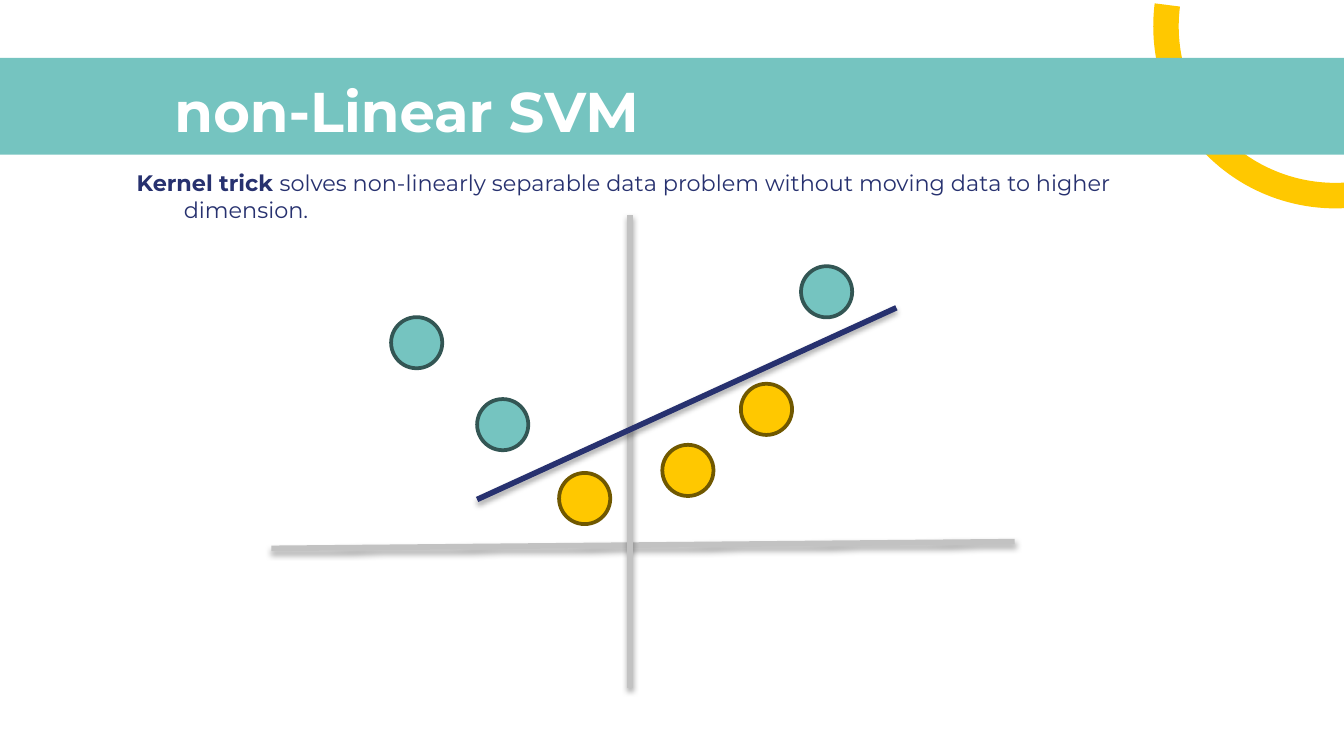
from lxml import etree
from pptx import Presentation
from pptx.dml.color import RGBColor
from pptx.enum import shapes, text
from pptx.oxml import ns
from pptx.util import Pt

COLORS = {
    "teal": "75C4C0", "teal_edge": "335654",
    "yellow": "FFC800", "yellow_edge": "705800",
    "navy": "27316F", "axis": "C2C2C2", "pale": "EEEEEE", "white": "FFFFFF",
}

deck = Presentation()
deck.slide_width, deck.slide_height = Pt(720), Pt(405)
slide = deck.slides.add_slide(deck.slide_layouts[6])


def add_filled(kind, left, top, width, height, fill, edge=None):
    part = slide.shapes.add_shape(kind, Pt(left), Pt(top), Pt(width), Pt(height))
    part.shadow.inherit = False
    part.fill.solid()
    part.fill.fore_color.rgb = RGBColor.from_string(COLORS[fill])
    if edge:
        part.line.color.rgb = RGBColor.from_string(COLORS[edge])
        part.line.width = Pt(2)
    else:
        part.line.fill.background()
    return part


def add_words(left, top, width, height, words, size, color):
    box = slide.shapes.add_textbox(Pt(left), Pt(top), Pt(width), Pt(height))
    frame = box.text_frame
    frame.word_wrap = True
    frame.vertical_anchor = text.MSO_ANCHOR.TOP
    frame.margin_left = frame.margin_right = Pt(7.2)
    frame.margin_top = frame.margin_bottom = Pt(7.2)
    paragraph = frame.paragraphs[0]
    for wording, bold in words:
        run = paragraph.add_run()
        run.text = wording
        run.font.name = "Montserrat"
        run.font.size = Pt(size)
        run.font.bold = bold
        run.font.color.rgb = RGBColor.from_string(COLORS[color])
    return paragraph


corner_ring = add_filled(shapes.MSO_SHAPE.BLOCK_ARC, 617.8, -83.5, 195.1, 195.1, "yellow")
title_band = add_filled(shapes.MSO_SHAPE.RECTANGLE, -12.2, 31, 744.5, 51.8, "teal")
lower_ring = add_filled(shapes.MSO_SHAPE.BLOCK_ARC, -117.4, 324.7, 187.9, 187.9, "pale")

for ring, rotation, start, end, thickness in [
    (corner_ring, 180, 159.04, 7.23, 0.07),
    (lower_ring, 74.3, 125.82, 166.85, 0.1),
]:
    ring.rotation = rotation
    ring.adjustments[0] = start * 0.6
    ring.adjustments[1] = end * 0.6
    ring.adjustments[2] = thickness

add_words(86.4, 33.8, 609.1, 45.4, [("non-Linear SVM", True)], 30, "white")
summary = add_words(55.4, 83.5, 609.1, 39.6, [
    ("Kernel trick ", True),
    ("solves non-linearly separable data problem without moving data to higher dimension.", False),
], 12, "navy")
indents = summary._p.get_or_add_pPr()
indents.set("marL", str(Pt(36)))
indents.set("indent", str(Pt(-25.2)))

point_size = 27.4
classes = {
    "teal": [(209.5, 169.9), (255.6, 213.8), (429.1, 142.6)],
    "yellow": [(299.5, 253.4), (354.8, 238.3), (396.9, 205.6)],
}
for color, points in classes.items():
    for left, top in points:
        add_filled(shapes.MSO_SHAPE.OVAL, left, top, point_size, point_size, color, color + "_edge")

for x1, y1, x2, y2, color in [
    (145.4, 293.8, 543.6, 290.2, "axis"),
    (337.5, 115.2, 337.5, 368.6, "axis"),
    (255.6, 267.6, 480.2, 164.9, "navy"),
]:
    stroke = slide.shapes.add_connector(
        shapes.MSO_CONNECTOR.STRAIGHT, Pt(x1), Pt(y1), Pt(x2), Pt(y2))
    stroke.line.color.rgb = RGBColor.from_string(COLORS[color])
    stroke.line.width = Pt(3)
    effects = etree.SubElement(stroke._element.spPr, ns.qn("a:effectLst"))
    shadow = etree.SubElement(
        effects, ns.qn("a:outerShdw"), blurRad=str(Pt(3.1)), dist=str(Pt(1.8)),
        dir="5400000", rotWithShape="0")
    shade = etree.SubElement(shadow, ns.qn("a:srgbClr"), val="000000")
    etree.SubElement(shade, ns.qn("a:alpha"), val="35000")

deck.save("out.pptx")
